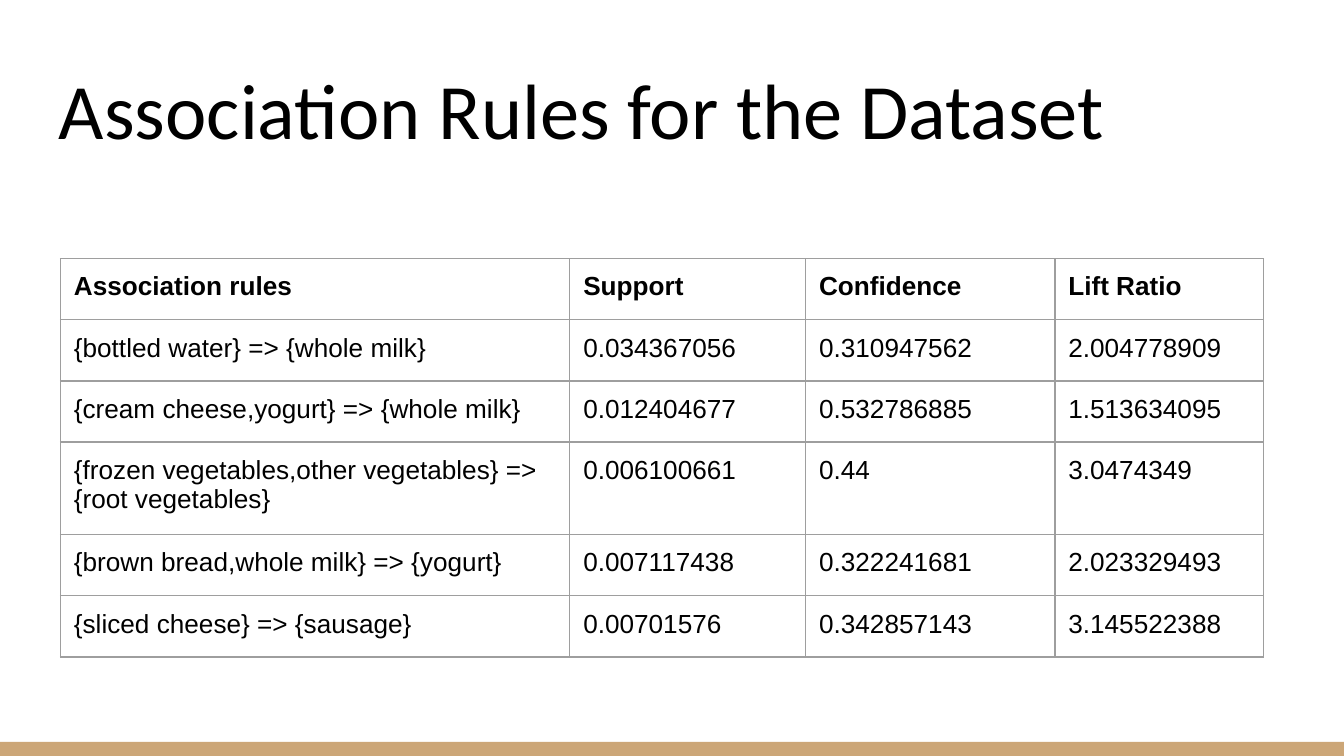
from typing import NamedTuple

from lxml import etree
from pptx import Presentation
from pptx.dml.color import RGBColor
from pptx.enum import shapes, text
from pptx.oxml.ns import qn
from pptx.util import Emu, Pt

EMU_PER_PX = 4572  # 200 px to the inch
INSET = 20
BLACK, GREY, TAN = "000000", "9E9E9E", "CCA677"


class Box(NamedTuple):
    left: int
    top: int
    width: int
    height: int


class Rule(NamedTuple):
    items: str
    support: str
    confidence: str
    lift: str


SLIDE = Box(0, 0, 2000, 1125)
FOOTER = Box(0, 1104, 2000, 21)
TITLE = Box(68, 70, 1864, 181)
TABLE_LEFT, TABLE_TOP = 90, 385
COLUMN_WIDTHS = (758, 351, 371, 310)
ROW_HEIGHT, TALL_ROW_HEIGHT, TALL_ROW = 91, 138, 3
HEADER = Rule("Association rules", "Support", "Confidence", "Lift Ratio")
RULES = (
    Rule("{bottled water} => {whole milk}", "0.034367056", "0.310947562", "2.004778909"),
    Rule("{cream cheese,yogurt} => {whole milk}", "0.012404677", "0.532786885", "1.513634095"),
    Rule("{frozen vegetables,other vegetables} => {root vegetables}",
         "0.006100661", "0.44", "3.0474349"),
    Rule("{brown bread,whole milk} => {yogurt}", "0.007117438", "0.322241681", "2.023329493"),
    Rule("{sliced cheese} => {sausage}", "0.00701576", "0.342857143", "3.145522388"),
)


def px(length: int) -> Emu:
    return Emu(length * EMU_PER_PX)


def place(box: Box) -> list[Emu]:
    return [px(length) for length in box]


def color(value: str) -> RGBColor:
    return RGBColor.from_string(value)


def set_text(holder, content: str, font_name: str, size: int, bold: bool = False) -> None:
    """Fill a text box or table cell with one formatted paragraph."""
    holder.text_frame.text = content
    font = holder.text_frame.paragraphs[0].runs[0].font
    font.name, font.size, font.bold = font_name, Pt(size), bold
    font.color.rgb = color(BLACK)


def set_insets(target) -> None:
    target.margin_left = target.margin_right = px(INSET)
    target.margin_top = target.margin_bottom = px(INSET)


def set_borders(cell, value: str, width: float) -> None:
    properties = cell._tc.get_or_add_tcPr()
    for side in ("a:lnL", "a:lnR", "a:lnT", "a:lnB"):
        line = etree.SubElement(properties, qn(side), w=str(Pt(width)))
        fill = etree.SubElement(line, qn("a:solidFill"))
        etree.SubElement(fill, qn("a:srgbClr"), val=value)


def add_footer(slide) -> None:
    shape = slide.shapes.add_shape(shapes.MSO_SHAPE.RECTANGLE, *place(FOOTER))
    shape.shadow.inherit = False
    shape.fill.solid()
    shape.fill.fore_color.rgb = color(TAN)
    shape.line.fill.background()


def add_title(slide, content: str) -> None:
    shape = slide.shapes.add_textbox(*place(TITLE))
    text_frame = shape.text_frame
    text_frame.word_wrap = True
    text_frame.vertical_anchor = text.MSO_ANCHOR.BOTTOM
    set_insets(text_frame)
    set_text(shape, content, "Calibri", 42)


def add_rules_table(slide) -> None:
    rows = (HEADER, *RULES)
    heights = [TALL_ROW_HEIGHT if index == TALL_ROW else ROW_HEIGHT
               for index in range(len(rows))]
    box = Box(TABLE_LEFT, TABLE_TOP, sum(COLUMN_WIDTHS), sum(heights))
    table = slide.shapes.add_table(len(rows), len(COLUMN_WIDTHS), *place(box)).table
    table.first_row = table.horz_banding = False
    for column, width in zip(table.columns, COLUMN_WIDTHS):
        column.width = px(width)
    for row, height, values in zip(table.rows, heights, rows):
        row.height = px(height)
        for cell, value in zip(row.cells, values):
            set_insets(cell)
            set_borders(cell, GREY, 0.75)
            cell.fill.background()
            set_text(cell, value, "Arial", 14, bold=values is HEADER)


def main() -> None:
    presentation = Presentation()
    presentation.slide_width = px(SLIDE.width)
    presentation.slide_height = px(SLIDE.height)
    slide = presentation.slides.add_slide(presentation.slide_layouts[6])
    add_footer(slide)
    add_title(slide, "Association Rules for the Dataset")
    add_rules_table(slide)
    presentation.save("out.pptx")


if __name__ == "__main__":
    main()
